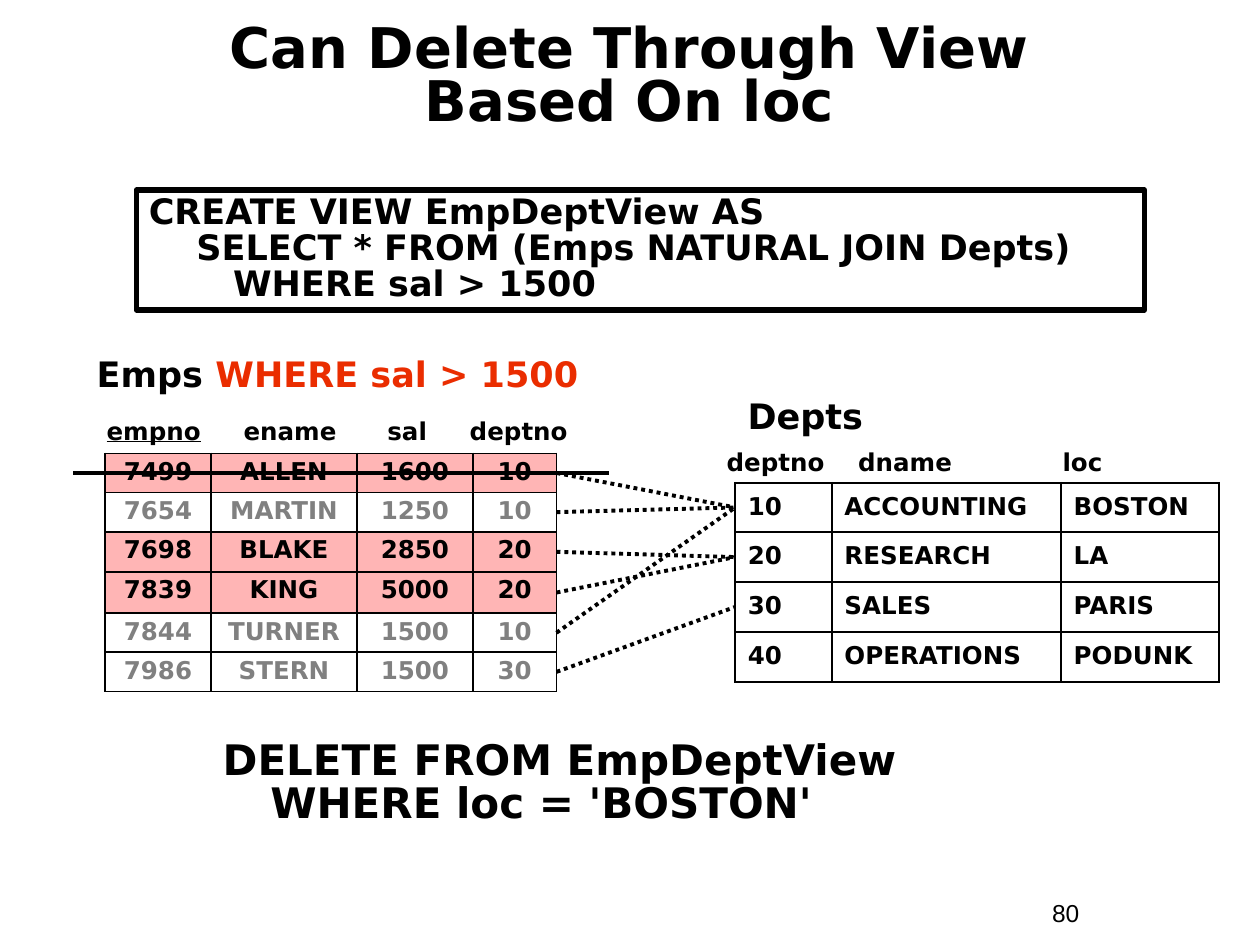
from itertools import accumulate
from lxml.etree import SubElement
from pptx import Presentation
from pptx.dml.color import RGBColor
from pptx.enum.dml import MSO_LINE
from pptx.enum.shapes import MSO_CONNECTOR, MSO_SHAPE
from pptx.enum.text import MSO_ANCHOR, PP_ALIGN
from pptx.oxml import parse_xml
from pptx.oxml.ns import nsdecls, qn
from pptx.util import Cm, Pt

COLORS = {"ink": "000000", "muted": "808080", "accent": "EA2D00", "selected": "FFB5B5"}
FONT = "DejaVu Sans"
HANGING = 0.96

TITLE = "Can Delete Through View\vBased On loc"
VIEW_LINES = [
    ("CREATE VIEW EmpDeptView AS", 0),
    ("SELECT * FROM (Emps NATURAL JOIN Depts)", HANGING),
    ("WHERE sal > 1500", 1.7),
]
DELETE_LINES = [("DELETE FROM EmpDeptView", 0), ("WHERE loc = 'BOSTON'", HANGING)]
EMPS = {
    "left": 2.12, "top": 9.14,
    "columns": [2.13, 2.95, 2.33, 1.69],
    "heights": [0.79, 0.79, 0.81, 0.83, 0.79, 0.79],
    "rows": [
        ("7499", "ALLEN", "1600", "10"),
        ("7654", "MARTIN", "1250", "10"),
        ("7698", "BLAKE", "2850", "20"),
        ("7839", "KING", "5000", "20"),
        ("7844", "TURNER", "1500", "10"),
        ("7986", "STERN", "1500", "30"),
    ],
}
DEPTS = {
    "left": 14.82, "top": 9.73,
    "columns": [1.95, 4.62, 3.18],
    "heights": [1, 1, 1.01, 1.01],
    "rows": [
        ("10", "ACCOUNTING", "BOSTON"),
        ("20", "RESEARCH", "LA"),
        ("30", "SALES", "PARIS"),
        ("40", "OPERATIONS", "PODUNK"),
    ],
}
EMPS_HEADER = (["empno", "ename", "sal", "deptno"], [2.76, 5.66, 7.32])
DEPTS_HEADER = (["deptno", "dname", "loc"], [2.65, 6.77])


def rgb(name):
    return RGBColor.from_string(COLORS[name])


def style(target, size, color="ink", name=FONT, bold=True):
    font = target.font
    font.name, font.size, font.bold = name, Pt(size), bold
    font.color.rgb = rgb(color)


def add_box(page, left, top, width, height):
    box = page.shapes.add_textbox(Cm(left), Cm(top), Cm(width), Cm(height))
    box.text_frame.word_wrap = True
    return box.text_frame


def add_label(page, place, text, size, **options):
    frame = add_box(page, *place)
    para = frame.paragraphs[0]
    para.text = text
    style(para, size, **options)
    return frame


def add_header(page, place, header, underlined=()):
    names, stops = header
    para = add_box(page, *place).paragraphs[0]
    tab_list = SubElement(para._p.get_or_add_pPr(), qn("a:tabLst"))
    for stop in stops:
        SubElement(tab_list, qn("a:tab"), pos=str(Cm(stop)), algn="l")
    for index, name in enumerate(names):
        if index:
            para.add_run().text = "\t"
        span = para.add_run()
        span.text = name
        if name in underlined:
            span.font.underline = True
    style(para, 14)


def fill_code(frame, lines, size):
    for index, (text, indent) in enumerate(lines):
        para = frame.paragraphs[0] if index == 0 else frame.add_paragraph()
        para.text = text
        para.alignment = PP_ALIGN.LEFT
        para.line_spacing = 0.85
        para._p.get_or_add_pPr().set("marL", str(Cm(indent)))
        style(para, size)


def add_borders(cell):
    properties = cell._tc.get_or_add_tcPr()
    for index, side in enumerate(("lnL", "lnR", "lnT", "lnB")):
        properties.insert(index, parse_xml(
            f'<a:{side} {nsdecls("a")} w="{Pt(1.08)}"><a:solidFill>'
            f'<a:srgbClr val="{COLORS["ink"]}"/></a:solidFill></a:{side}>'))


def add_grid(page, data, align, anchor, look):
    rows, columns, heights = data["rows"], data["columns"], data["heights"]
    table = page.shapes.add_table(
        len(rows), len(columns), Cm(data["left"]), Cm(data["top"]),
        Cm(sum(columns)), Cm(sum(heights))).table
    table.first_row = table.horz_banding = False
    for column, width in zip(table.columns, columns):
        column.width = Cm(width)
    for line, height, values in zip(table.rows, heights, rows):
        line.height = Cm(height)
        color, fill = look(values)
        for cell, value in zip(line.cells, values):
            cell.vertical_anchor = anchor
            if fill:
                cell.fill.solid()
                cell.fill.fore_color.rgb = rgb(fill)
            else:
                cell.fill.background()
            add_borders(cell)
            para = cell.text_frame.paragraphs[0]
            para.text = value
            para.alignment = align
            para.line_spacing = 0.9
            style(para, 14, color)


def row_centers(data):
    ends = accumulate(data["heights"], initial=data["top"])
    return [start + height / 2 for start, height in zip(ends, data["heights"])]


def add_line(page, start, end, dash=None):
    line = page.shapes.add_connector(
        MSO_CONNECTOR.STRAIGHT, *(Cm(value) for value in (*start, *end)))
    line.line.color.rgb = rgb("ink")
    line.line.width = Pt(2.25)
    if dash:
        line.line.dash_style = dash
    SubElement(line._element.spPr, qn("a:effectLst"))


def emps_look(values):
    return ("ink", "selected") if int(values[2]) > 1500 else ("muted", None)


def main():
    deck = Presentation()
    deck.slide_width, deck.slide_height = Cm(25.4), Cm(19.05)
    page = deck.slides.add_slide(deck.slide_layouts[6])

    add_label(page, (20.96, 17.98, 2.34, 0.86), "80", 14, name="Arial", bold=False)
    title = add_label(page, (0.84, 0.64, 23.7, 1.9), TITLE, 32)
    title.vertical_anchor = MSO_ANCHOR.MIDDLE
    title.paragraphs[0].alignment = PP_ALIGN.CENTER
    title.paragraphs[0].line_spacing = 0.8

    add_header(page, (1.9, 8.26, 13.13, 0.86), EMPS_HEADER, {"empno"})
    add_grid(page, EMPS, PP_ALIGN.CENTER, MSO_ANCHOR.TOP, emps_look)
    emps_title = add_label(page, (1.7, 6.99, 11.43, 1.12), "Emps ", 20)
    condition = emps_title.paragraphs[0].add_run()
    condition.text = "WHERE sal > 1500"
    condition.font.color.rgb = rgb("accent")

    emps_right = EMPS["left"] + sum(EMPS["columns"])
    dept_centers = {row[0]: y for row, y in zip(DEPTS["rows"], row_centers(DEPTS))}
    for row, y in zip(EMPS["rows"], row_centers(EMPS)):
        add_line(page, (emps_right, y), (DEPTS["left"], dept_centers[row[-1]]),
                 MSO_LINE.ROUND_DOT)

    add_grid(page, DEPTS, PP_ALIGN.LEFT, MSO_ANCHOR.MIDDLE, lambda values: ("ink", None))
    add_header(page, (14.4, 8.89, 9.1, 0.86), DEPTS_HEADER)
    add_label(page, (14.82, 7.82, 5.92, 1.12), "Depts", 20)

    view = page.shapes.add_shape(
        MSO_SHAPE.RECTANGLE, Cm(2.75), Cm(3.83), Cm(20.32), Cm(2.42))
    view.shadow.inherit = False
    view.fill.background()
    view.line.color.rgb = rgb("ink")
    view.line.width = Pt(3)
    view.text_frame.word_wrap = True
    view.text_frame.vertical_anchor = MSO_ANCHOR.TOP
    fill_code(view.text_frame, VIEW_LINES, 20)
    fill_code(add_box(page, 4.24, 14.82, 17.58, 2.12), DELETE_LINES, 24)

    strike = row_centers(EMPS)[0]
    add_line(page, (1.48, strike), (12.28, strike))
    deck.save("out.pptx")


if __name__ == "__main__":
    main()
